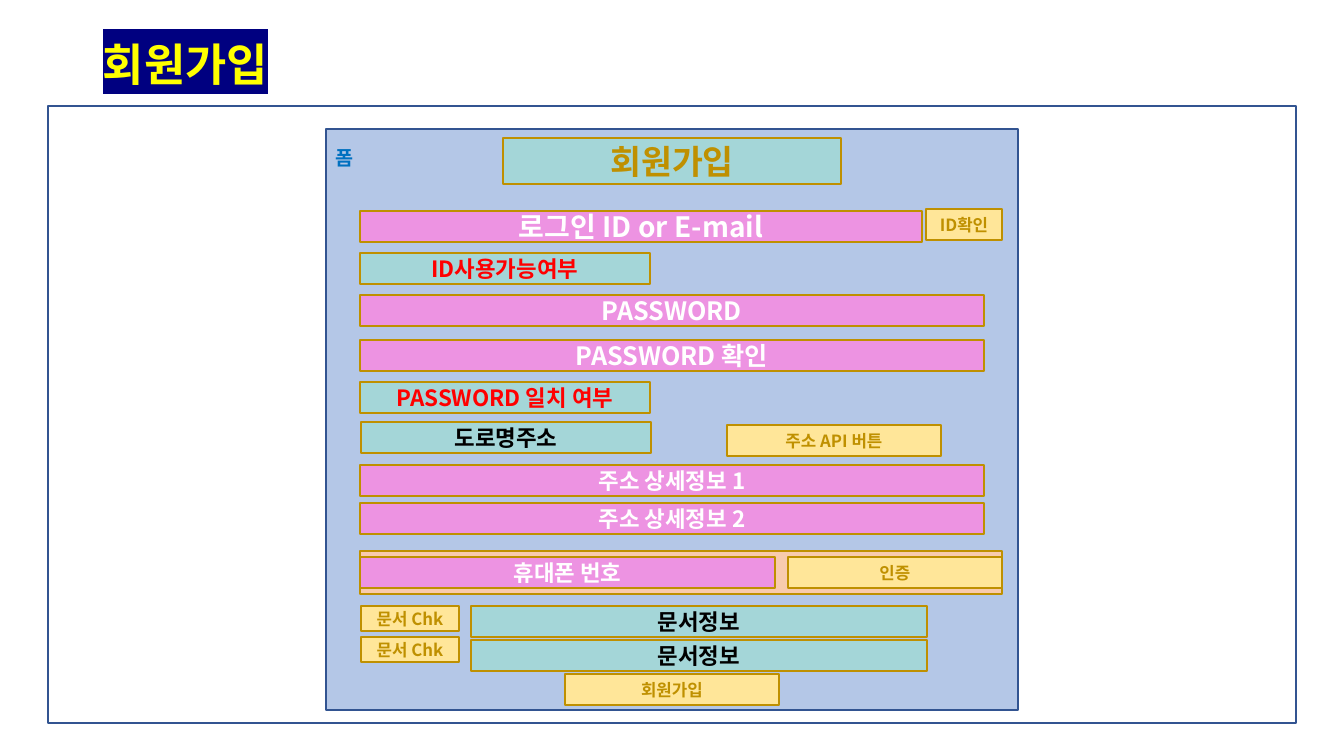
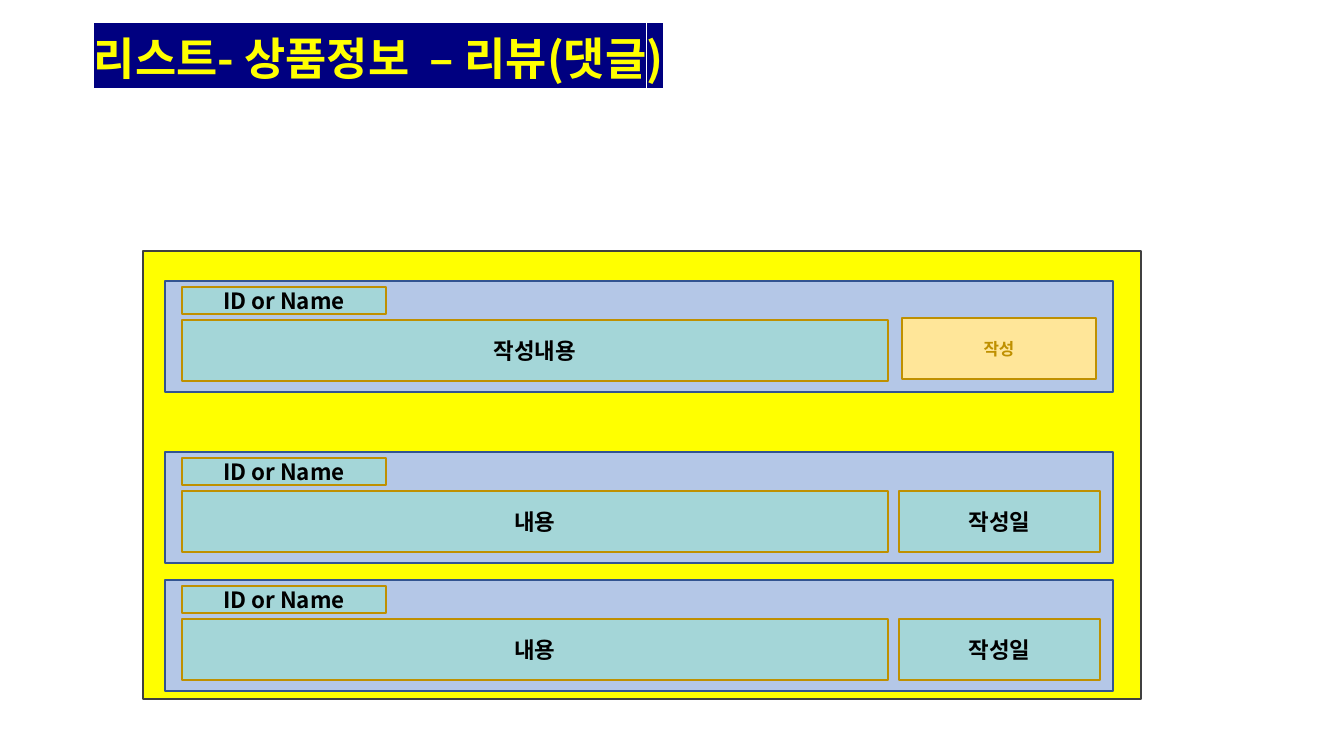
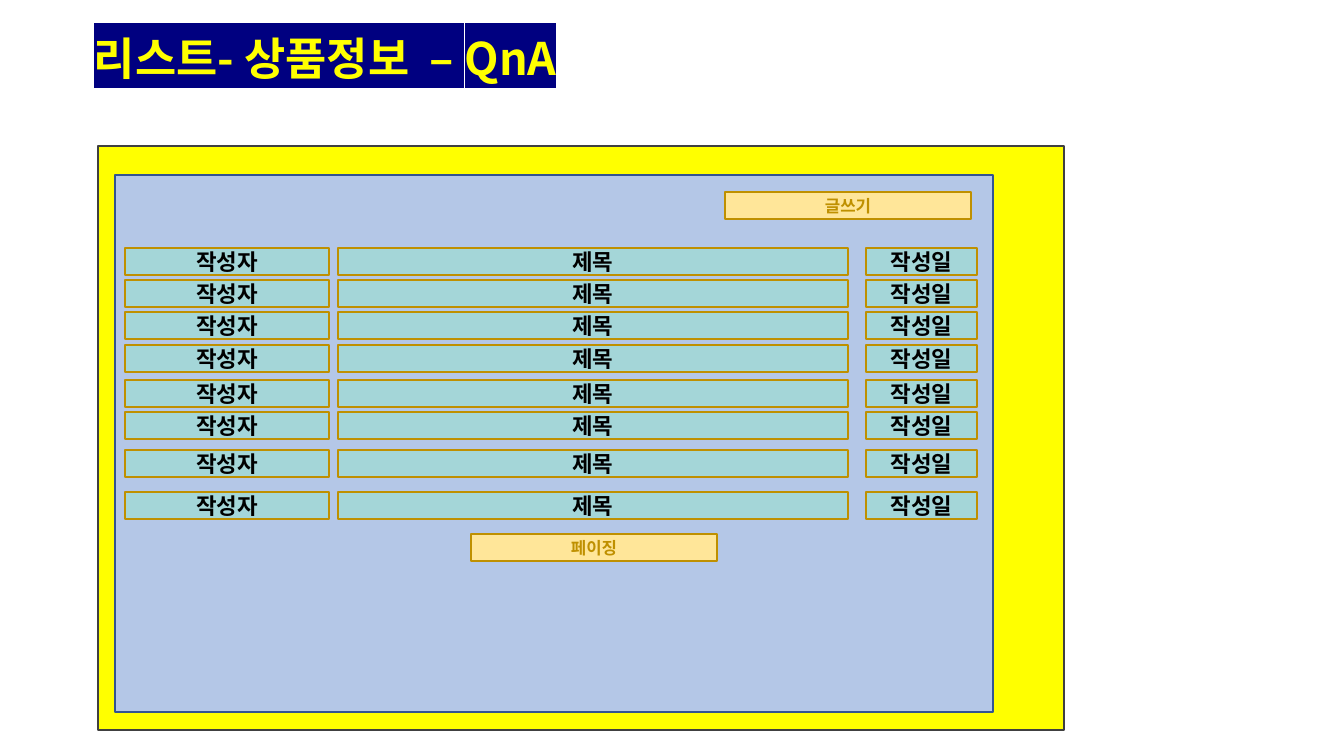
"""Wireframes of a sign-up form, a review list and a Q&A board."""
from dataclasses import dataclass
from itertools import product

from lxml.etree import SubElement
from pptx import Presentation
from pptx.dml.color import RGBColor
from pptx.enum.shapes import MSO_SHAPE as Preset
from pptx.enum.text import MSO_ANCHOR as Anchor, PP_ALIGN as Align
from pptx.oxml.ns import qn
from pptx.util import Pt

PX = 914400 / 100.8


@dataclass(frozen=True)
class Look:
    fill: str
    line: str
    ink: str = "000000"
    size: int = 16


class Theme:
    font = "Noto Sans CJK KR"
    title_size, title_ink, title_mark = 32, "FFFF00", "000080"
    gold, navy = "BF9000", "325491"
    frame = Look("FFFFFF", navy)
    board = Look("FFFF00", "404040")
    panel = Look("B4C7E7", navy, "0070C0", 14)
    band = Look("F8CBAD", gold)
    heading = Look("A4D6D8", gold, gold, 24)
    info = Look("A4D6D8", gold)
    status = Look("A4D6D8", gold, "FF0000")
    login = Look("ED93E2", gold, "FFFFFF", 20)
    password = Look("ED93E2", gold, "FFFFFF", 18)
    entry = Look("ED93E2", gold, "FFFFFF")
    button = Look("FFE699", gold, gold, 12)


FIELD_H, CHECK_H, LABEL_H, BODY_H = 31, 25, 27, 61
SIGNUP_TITLE = ("회원가입", 93, 33, 589)
REVIEW_TITLE = ("리스트- 상품정보  – 리뷰(댓글)", 84, 27, 833)
QNA_TITLE = ("리스트- 상품정보  – QnA", 84, 27, 833)

SIGNUP_FIELDS = [
    ("로그인 ID or E-mail", Theme.login, 360, 211, 562),
    ("ID확인", Theme.button, 926, 209, 76),
    ("ID사용가능여부", Theme.status, 360, 253, 290),
    ("PASSWORD", Theme.password, 360, 295, 624),
    ("PASSWORD 확인", Theme.password, 360, 340, 624),
    ("PASSWORD 일치 여부", Theme.status, 360, 382, 290),
    ("도로명주소", Theme.info, 361, 422, 290),
    ("주소 API 버튼", Theme.button, 727, 425, 214),
    ("주소 상세정보 1", Theme.entry, 360, 465, 624),
    ("주소 상세정보 2", Theme.entry, 360, 503, 624),
    ("휴대폰 번호", Theme.entry, 360, 557, 415),
    ("인증", Theme.button, 788, 557, 214),
    ("문서정보", Theme.info, 471, 606, 456),
    ("문서정보", Theme.info, 471, 640, 456),
    ("회원가입", Theme.button, 565, 674, 214),
]
DOCUMENT_CHECKS = [606, 637]

WRITE_BUTTON = ("작성", Theme.button, 737, 37, 194)
WRITTEN_DATE = ("작성일", Theme.info, 734, 39, 201)
REVIEW_CARDS = [
    (281, "작성내용", WRITE_BUTTON),
    (452, "내용", WRITTEN_DATE),
    (580, "내용", WRITTEN_DATE),
]

QNA_COLUMNS = [("작성자", 125, 204), ("제목", 338, 510), ("작성일", 866, 111)]
QNA_ROWS = [248, 280, 312, 345, 380, 412, 450, 492]
QNA_BUTTONS = [("글쓰기", 725, 192), ("페이징", 471, 534)]


def px(*lengths):
    return [round(length * PX) for length in lengths]


def write(paragraph, text, size, ink):
    run = paragraph.add_run()
    run.text = text
    run.font.size = Pt(size)
    run.font.bold = True
    run.font.name = Theme.font
    run.font.color.rgb = RGBColor.from_string(ink)
    props = run.font._element
    SubElement(props, qn("a:ea"), typeface=Theme.font)
    return props


def add_title(slide, text, x, y, w):
    frame = slide.shapes.add_textbox(*px(x, y, w, 65)).text_frame
    frame.word_wrap = True
    frame.vertical_anchor = Anchor.MIDDLE
    frame.margin_top, frame.margin_bottom = px(0, 4)
    props = write(frame.paragraphs[0], text, Theme.title_size, Theme.title_ink)
    mark = SubElement(props, qn("a:highlight"))
    SubElement(mark, qn("a:srgbClr"), val=Theme.title_mark)
    props.find(qn("a:latin")).addprevious(mark)


def add_box(slide, look, x, y, w, h, text=""):
    box = slide.shapes.add_shape(Preset.RECTANGLE, *px(x, y, w, h))
    box.shadow.inherit = False
    box.fill.solid()
    box.fill.fore_color.rgb = RGBColor.from_string(look.fill)
    box.line.color.rgb = RGBColor.from_string(look.line)
    box.line.width = Pt(1)
    frame = box.text_frame
    frame.word_wrap = True
    frame.vertical_anchor = Anchor.MIDDLE
    if text:
        frame.paragraphs[0].alignment = Align.CENTER
        write(frame.paragraphs[0], text, look.size, look.ink)
    return frame


def build_signup(slide):
    add_box(slide, Theme.frame, 48, 106, 1248, 617)
    add_title(slide, *SIGNUP_TITLE)
    form = add_box(slide, Theme.panel, 326, 129, 692, 581, "폼")
    form.vertical_anchor = Anchor.TOP
    form.margin_top = px(17)[0]
    form.paragraphs[0].alignment = Align.LEFT
    add_box(slide, Theme.heading, 503, 138, 338, 46, "회원가입")
    add_box(slide, Theme.band, 360, 551, 642, 43)
    for text, look, x, y, w in SIGNUP_FIELDS:
        add_box(slide, look, x, y, w, FIELD_H, text)
    for y in DOCUMENT_CHECKS:
        add_box(slide, Theme.button, 361, y, 98, CHECK_H, "문서 Chk")


def build_reviews(slide):
    add_box(slide, Theme.board, 143, 251, 998, 448)
    add_title(slide, *REVIEW_TITLE)
    left = 165
    for top, body, (side, look, dx, dy, w) in REVIEW_CARDS:
        add_box(slide, Theme.panel, left, top, 948, 111)
        add_box(slide, Theme.info, left + 17, top + 6, 204, LABEL_H, "ID or Name")
        add_box(slide, Theme.info, left + 17, top + 39, 706, BODY_H, body)
        add_box(slide, look, left + dx, top + dy, w, BODY_H, side)


def build_qna(slide):
    add_box(slide, Theme.board, 98, 146, 966, 584)
    add_title(slide, *QNA_TITLE)
    add_box(slide, Theme.panel, 115, 175, 878, 537)
    for y, (text, x, w) in product(QNA_ROWS, QNA_COLUMNS):
        add_box(slide, Theme.info, x, y, w, LABEL_H, text)
    for text, x, y in QNA_BUTTONS:
        add_box(slide, Theme.button, x, y, 246, LABEL_H, text)


deck = Presentation()
deck.slide_width, deck.slide_height = px(1344, 756)
for build in (build_signup, build_reviews, build_qna):
    build(deck.slides.add_slide(deck.slide_layouts[6]))
deck.save("out.pptx")
